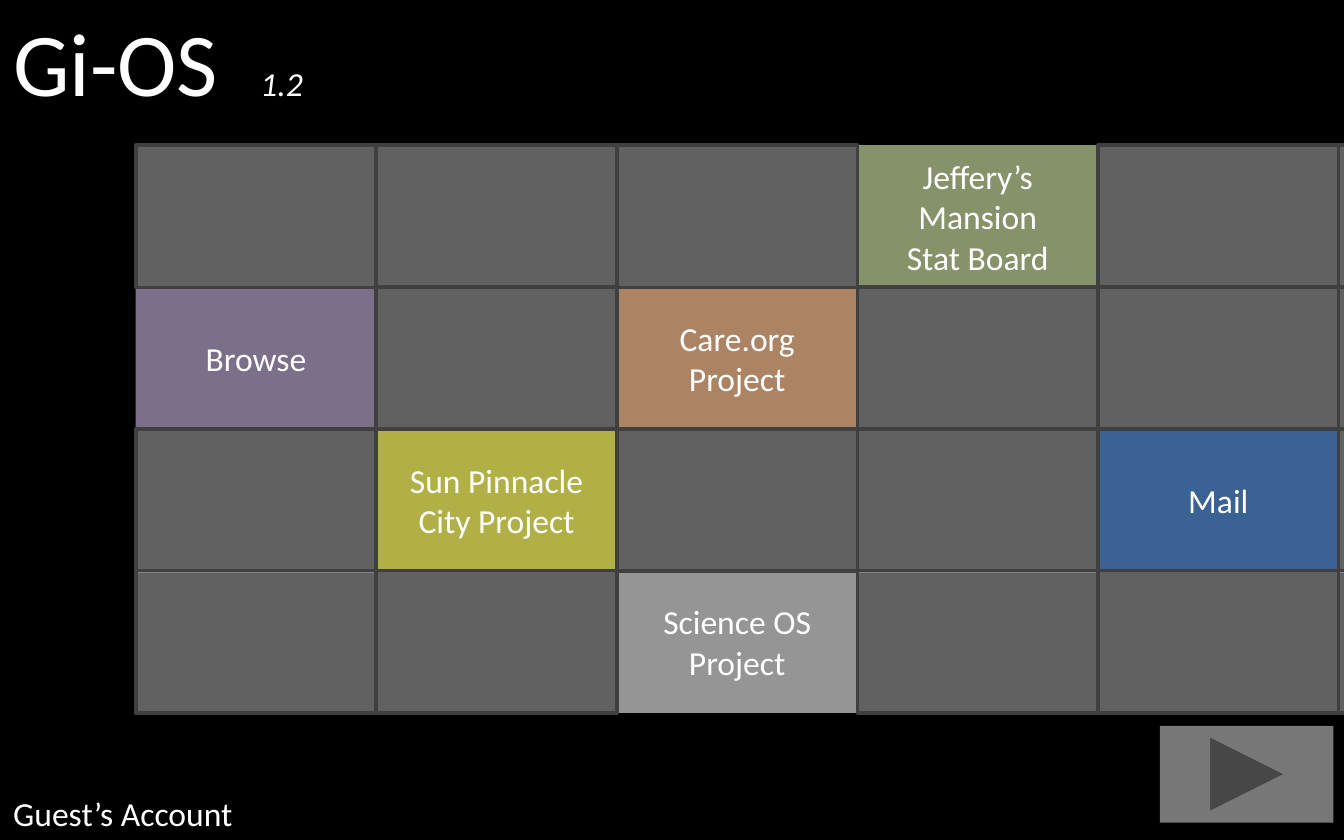
"""Build the Gi-OS home screen: a grid of tiles, a title and a next button."""
from itertools import product
from lxml.etree import SubElement
from pptx import Presentation
from pptx.dml.color import RGBColor as RGB
from pptx.enum.shapes import MSO_SHAPE as Kind
from pptx.enum.text import MSO_ANCHOR as Anchor, MSO_AUTO_SIZE as Auto, PP_ALIGN as Align
from pptx.oxml.ns import qn
from pptx.util import Inches, Pt

theme = {
    "back": "000000", "text": "FFFFFF", "edge": "404040", "gray": "D9D9D9",
    "button": "A6A6A6", "font": "Calibri", "title": 48, "body": 18,
    "clear": 45, "solid": 69, "firm": 72, "line": 2,
}

deck = Presentation()
deck.slide_width, deck.slide_height = Inches(10), Inches(6.25)
slide = deck.slides.add_slide(deck.slide_layouts[6])
slide.background.fill.solid()
slide.background.fill.fore_color.rgb = RGB.from_string(theme["back"])
shapes = slide.shapes

left, top, wide, high = 1.01, 1.08, 1.79, 1.06
cols, rows = 6, 4


def block(kind, box, color, alpha):
    shape = shapes.add_shape(kind, *map(Inches, box))
    shape.shadow.inherit = False
    shape.fill.solid()
    shape.fill.fore_color.rgb = RGB.from_string(color)
    tint = shape.fill._xPr.find(qn("a:solidFill"))[0]
    SubElement(tint, qn("a:alpha"), val=str(alpha * 1000))
    shape.line.fill.background()
    return shape


def write(frame, lines, size, align, italic=False):
    frame.text = "\n".join(lines)
    look = {"name": theme["font"], "size": Pt(size), "italic": italic}
    for para in frame.paragraphs:
        para.alignment = align
        for run in para.runs:
            for key, value in look.items():
                setattr(run.font, key, value)
            run.font.color.rgb = RGB.from_string(theme["text"])


labels = [
    ("Gi-OS", (0, 0, 2.05, 0.91), theme["title"], False),
    ("1.2", (1.84, 0.42, 0.6, 0.4), theme["body"], True),
    ("Guest’s Account", (0, 5.85, 2.02, 0.4), theme["body"], False),
]
for text, box, size, italic in labels:
    frame = shapes.add_textbox(*map(Inches, box)).text_frame
    write(frame, [text], size, Align.LEFT, italic)
    for key, value in {"word_wrap": False, "auto_size": Auto.SHAPE_TO_FIT_TEXT}.items():
        setattr(frame, key, value)

spots = {
    (col, row): (left + col * wide, top + row * (high - 0.005), wide, high)
    for col, row in product(range(cols), range(rows))
}
apps = {
    (3, 0): ("C3D69B", ["Jeffery’s Mansion", "Stat Board"]),
    (2, 3): ("D9D9D9", ["Science OS", "Project"]),
    (4, 2): ("558ED5", ["Mail"]),
    (1, 2): ("FFFF66", ["Sun Pinnacle", "City Project"]),
    (2, 1): ("FAC090", ["Care.org Project"]),
    (0, 1): ("B3A2C7", ["Browse"]),
}
for spot, (color, lines) in apps.items():
    frame = block(Kind.RECTANGLE, spots[spot], color, theme["solid"]).text_frame
    for key, value in {"word_wrap": True, "vertical_anchor": Anchor.MIDDLE}.items():
        setattr(frame, key, value)
    write(frame, lines, theme["body"], Align.CENTER)

for spot, box in spots.items():
    if spot not in apps:
        tile = block(Kind.RECTANGLE, box, theme["gray"], theme["clear"])
        tile.line.color.rgb = RGB.from_string(theme["edge"])
        tile.line.width = Pt(theme["line"])

block(Kind.ACTION_BUTTON_FORWARD_OR_NEXT, (8.63, 5.4, 1.29, 0.72), theme["button"], theme["firm"])

deck.save("out.pptx")
